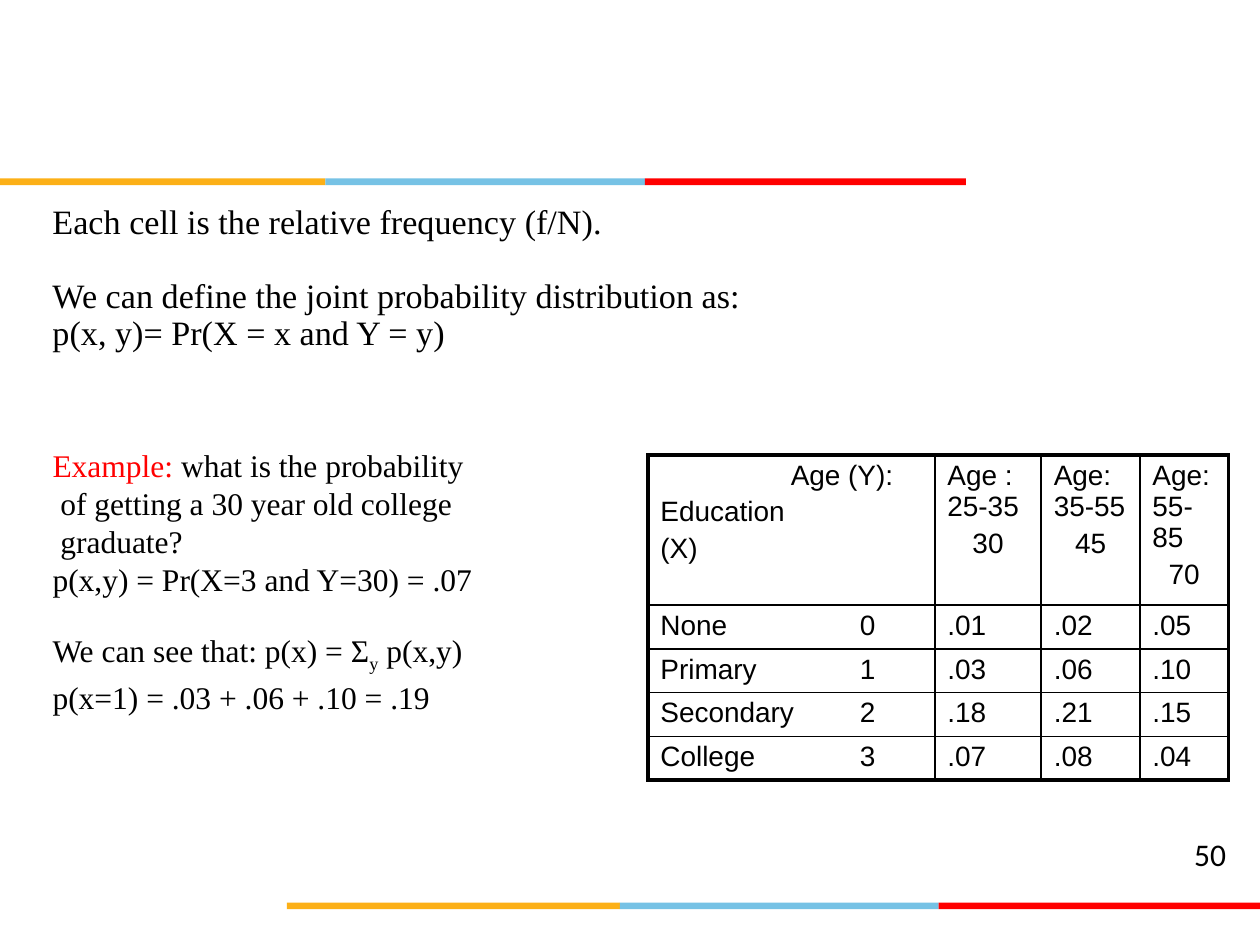
from dataclasses import dataclass
from itertools import product

from lxml.etree import SubElement
from pptx import Presentation
from pptx.dml.color import RGBColor
from pptx.enum.shapes import MSO_SHAPE
from pptx.enum.text import PP_ALIGN
from pptx.oxml.ns import qn
from pptx.util import Pt


@dataclass(frozen=True)
class Theme:
    ink: RGBColor = RGBColor(0, 0, 0)
    red: RGBColor = RGBColor(255, 0, 0)
    gold: RGBColor = RGBColor(0xFC, 0xB0, 0x17)
    blue: RGBColor = RGBColor(0x76, 0xC2, 0xE5)
    serif: str = "Times New Roman"
    sans: str = "Arial"
    plain: str = "Calibri"
    lead: float = 19.5
    body: float = 18
    grid: float = 16
    thin: float = 1
    thick: float = 2.25


THEME = Theme()
LEAD = [
    ("Each cell is the relative frequency (f/N).", 0),
    ("We can define the joint probability distribution as:", 21),
    ("p(x, y)= Pr(X = x and Y = y)", 0),
]
HEAD = [("Age : 25-35", "30"), ("Age: 35-55", "45"), ("Age: 55-85", "70")]
ROWS = [
    ("None\t0", ".01", ".02", ".05"),
    ("Primary\t1", ".03", ".06", ".10"),
    ("Secondary\t2", ".18", ".21", ".15"),
    ("College\t3", ".07", ".08", ".04"),
]


def apply(item, **values):
    for name, value in values.items():
        setattr(item, name, value)


def write(para, text, face, size, color=THEME.ink):
    run = para.add_run()
    run.text = text
    apply(run.font, name=face, size=Pt(size), bold=False)
    run.font.color.rgb = color
    return run


def next_para(frame, first):
    return frame.paragraphs[0] if first else frame.add_paragraph()


def add_frame(slide, box, pad):
    frame = slide.shapes.add_textbox(*map(Pt, box)).text_frame
    side, edge = map(Pt, pad)
    apply(frame, word_wrap=True, margin_left=side, margin_right=side,
          margin_top=edge, margin_bottom=edge)
    return frame


def add_stripe(slide, box, cuts):
    left, top, width, height = box
    ends = [0, *cuts, width]
    colors = (THEME.gold, THEME.blue, THEME.red)
    for start, end, color in zip(ends, ends[1:], colors):
        bar = slide.shapes.add_shape(
            MSO_SHAPE.RECTANGLE, Pt(left + start), Pt(top), Pt(end - start), Pt(height))
        bar.shadow.inherit = False
        bar.fill.solid()
        bar.fill.fore_color.rgb = color
        bar.line.fill.background()


def add_lead(slide, box):
    frame = add_frame(slide, box, (6, 3))
    for index, (text, gap) in enumerate(LEAD):
        para = next_para(frame, index == 0)
        apply(para, line_spacing=Pt(21.1), space_before=Pt(gap))
        write(para, text, THEME.serif, THEME.lead)


def add_example(slide, box):
    lines = [
        ([("Example:", THEME.red, 0), (" what is the probability", THEME.ink, 0)], 0, 0),
        ([("of getting a 30 year old college", THEME.ink, 0)], 0, 4.5),
        ([("graduate?", THEME.ink, 0)], 0, 4.5),
        ([("p(x,y) = Pr(X=3 and Y=30) = .07", THEME.ink, 0)], 0, 0),
        ([("We can see that: p(x) = Σ", THEME.ink, 0), ("y", THEME.ink, -25000),
          (" p(x,y)", THEME.ink, 0)], 21.7, 0),
        ([("p(x=1) = .03 + .06 + .10 = .19", THEME.ink, 0)], 2.3, 0),
    ]
    frame = add_frame(slide, box, (6, 3))
    for index, (parts, gap, inset) in enumerate(lines):
        para = next_para(frame, index == 0)
        apply(para, line_spacing=Pt(21.7), space_before=Pt(gap))
        para._p.get_or_add_pPr().set("marL", str(Pt(inset)))
        for text, color, shift in parts:
            run = write(para, text, THEME.serif, THEME.body, color)
            if shift:
                run._r.get_or_add_rPr().set("baseline", str(shift))


def add_edges(cell, widths):
    props = cell._tc.get_or_add_tcPr()
    for side, width in zip("LRTB", widths):
        line = SubElement(props, qn(f"a:ln{side}"), w=str(Pt(width)))
        fill = SubElement(line, qn("a:solidFill"))
        SubElement(fill, qn("a:srgbClr"), val=str(THEME.ink))


def fill_cell(cell, texts):
    apply(cell, margin_left=Pt(7.2), margin_right=Pt(7.2),
          margin_top=Pt(2.9), margin_bottom=Pt(2.9))
    for index, text in enumerate(texts):
        para = next_para(cell.text_frame, index == 0)
        if index:
            para.space_before = Pt(3.2)
        if "\t" in text:
            tabs = SubElement(para._p.get_or_add_pPr(), qn("a:tabLst"))
            SubElement(tabs, qn("a:tab"), pos=str(Pt(114)), algn="l")
        write(para, text, THEME.sans, THEME.grid)


def add_grid(slide, box):
    cells = [[("Age (Y):", "Education", "(X)"), *HEAD]]
    cells += [[(text,) for text in row] for row in ROWS]
    high, wide = len(cells), len(cells[0])
    table = slide.shapes.add_table(high, wide, *map(Pt, box)).table
    apply(table, first_row=False, horz_banding=False)
    for column, width in zip(table.columns, (164, 60.8, 56.4, 50.6)):
        column.width = Pt(width)
    for index, row in enumerate(table.rows):
        row.height = Pt(24.6 if index else 85)
    for row, col in product(range(high), range(wide)):
        cell = table.cell(row, col)
        outer = (col == 0, col == wide - 1, row == 0, row == high - 1)
        add_edges(cell, [THEME.thick if out else THEME.thin for out in outer])
        cell.fill.background()
        fill_cell(cell, cells[row][col])
        if row == 0 and col:
            cell.text_frame.paragraphs[1].alignment = PP_ALIGN.CENTER
    label = table.cell(0, 0).text_frame.paragraphs[0]
    label._p.get_or_add_pPr().set("marL", str(Pt(74.5)))


def add_number(slide, box):
    para = add_frame(slide, box, (7.2, 3.6)).paragraphs[0]
    para.alignment = PP_ALIGN.RIGHT
    write(para, "50", THEME.plain, THEME.body)


def main():
    deck = Presentation()
    apply(deck, slide_width=Pt(720), slide_height=Pt(540))
    slide = deck.slides.add_slide(deck.slide_layouts[6])
    add_stripe(slide, (164, 515.8, 556, 3.8), (190.2, 372.4))
    add_stripe(slide, (0, 102, 552, 3.8), (186, 368.6))
    add_example(slide, (24, 252, 636, 158.4))
    add_lead(slide, (24, 113.8, 684, 90.7))
    add_grid(slide, (370.2, 260, 331.8, 183.4))
    add_number(slide, (661.7, 473.8, 46, 29))
    deck.save("out.pptx")


if __name__ == "__main__":
    main()
